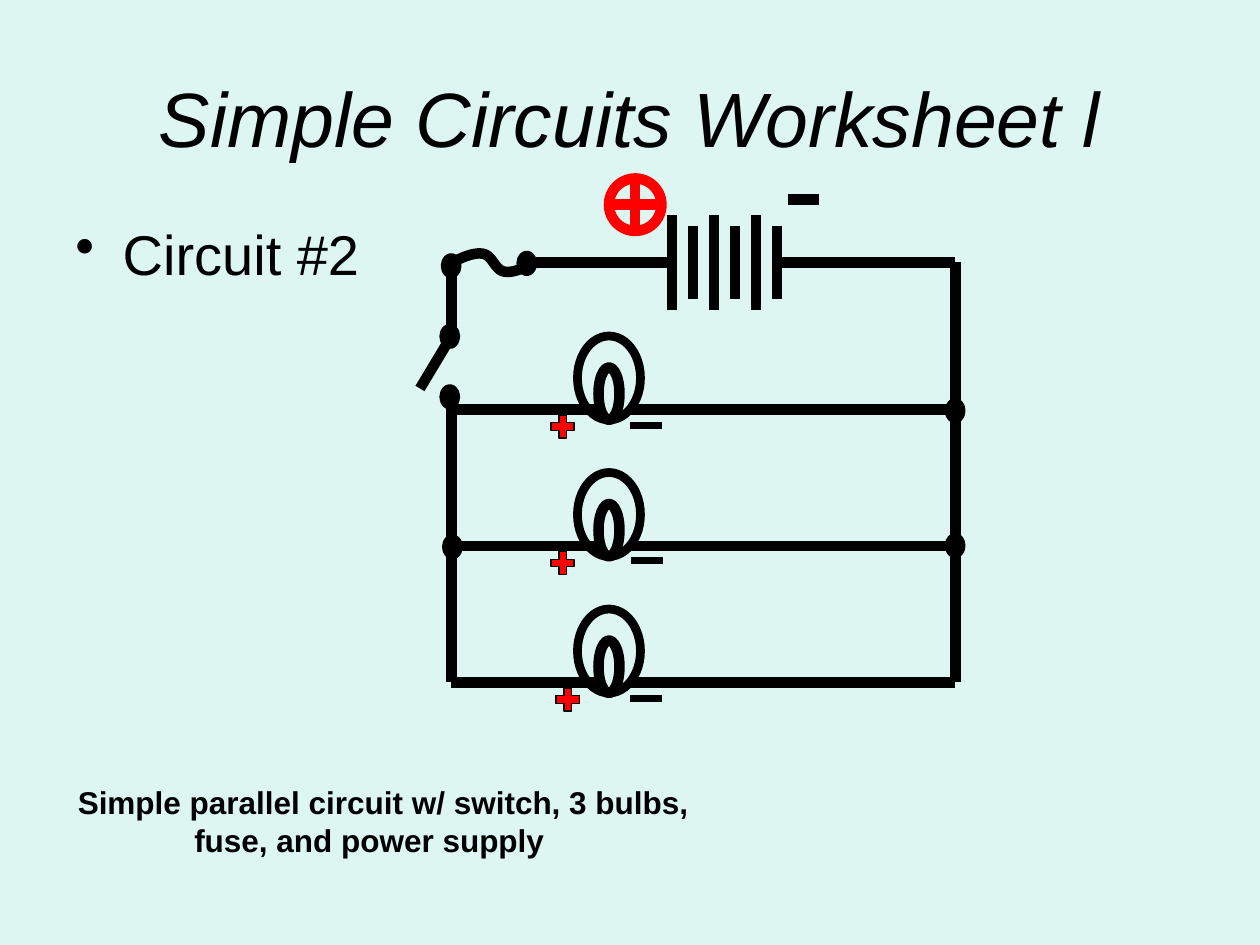
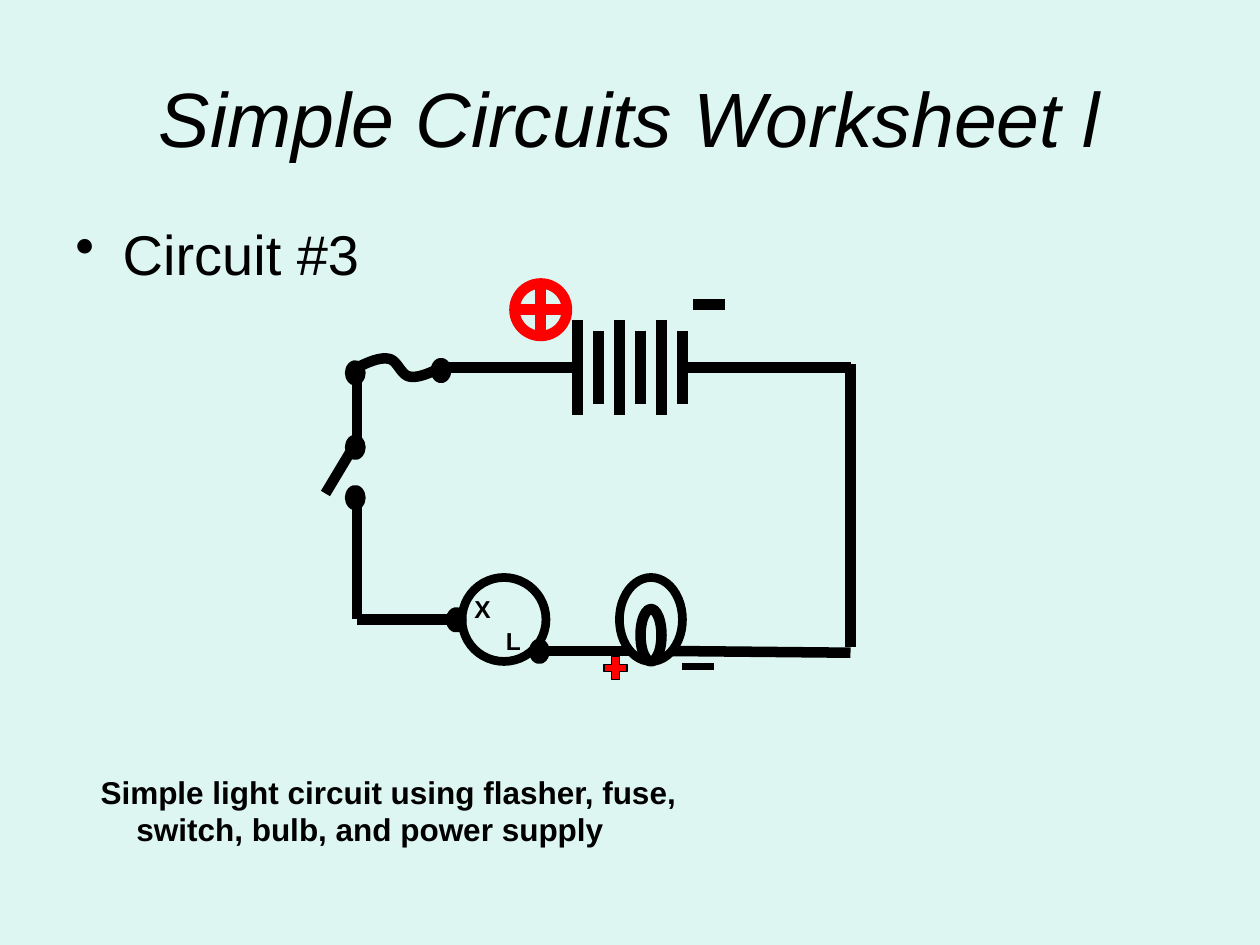
from dataclasses import dataclass

import pptx
import pptx.dml.color
import pptx.enum.shapes
import pptx.enum.text
import pptx.oxml.ns
import pptx.util
from lxml import etree

Pt = pptx.util.Pt
RGBColor = pptx.dml.color.RGBColor
MSO_SHAPE = pptx.enum.shapes.MSO_SHAPE
ALIGN = pptx.enum.text.PP_ALIGN

BACKGROUND = RGBColor(0xDE, 0xF6, 0xF1)
BLACK = RGBColor(0x00, 0x00, 0x00)
RED = RGBColor(0xFF, 0x00, 0x00)

FONT_NAME = "Arial"
TITLE = "Simple Circuits Worksheet l"
TITLE_FONT = {"size": Pt(44), "italic": True}
HEADING_FONT = {"size": Pt(32)}
CAPTION_FONT = {"size": Pt(18), "bold": True}
TERMINAL_FONT = {"size": Pt(14), "bold": True}

WIRE_WIDTH = 6
BULB_WIDTH = 5
MINUS_WIDTH = 4
PLATE_GAP = 12
PLATE_COUNT = 6
DOT_SIZE = (5.8, 8.6)
PLUS_SIZE = 18
MINUS_LENGTH = 18

# Cubic curves of the fuse, measured from its left end.
FUSE_CURVES = (
    ((0, 0), (6.5, -3), (13, -6), (18, -5)),
    ((18, -5), (23, -4.5), (25, 4.4), (30, 5.2)),
    ((30, 5.2), (35, 6.2), (42, 3), (48, 0)),
)
CURVE_STEPS = 10


@dataclass(frozen=True)
class Box:
    left: float
    top: float
    width: float
    height: float

    def lengths(self) -> list:
        return [Pt(value) for value in (self.left, self.top, self.width, self.height)]


@dataclass(frozen=True)
class Wire:
    start: tuple
    end: tuple
    width: float = WIRE_WIDTH


@dataclass(frozen=True)
class Bulb:
    center: float
    wire_y: float
    plus_left: float
    minus_left: float
    minus_drop: float = 9


@dataclass(frozen=True)
class Flasher:
    body: Box
    terminals: tuple


@dataclass(frozen=True)
class Circuit:
    """One worksheet slide; corner is the upper left corner of the circuit."""
    heading: str
    caption: str
    caption_box: Box
    corner: tuple
    wires: tuple
    bulbs: tuple
    dots: tuple
    flashers: tuple = ()


TITLE_BOX = Box(36, 21.6, 648, 90)
HEADING_BOX = Box(36, 126, 240, 42)

BRANCHES = (234, 312, 390)
CIRCUITS = (
    Circuit(
        heading="Circuit #2",
        caption="Simple parallel circuit w/ switch, 3 bulbs, fuse, and power supply \t",
        caption_box=Box(30, 444, 378, 50.4),
        corner=(258, 150),
        wires=(
            Wire((444, 150), (546, 150)),
            Wire((546, 150), (546, 390)),
            Wire((258, 228), (258, 390)),
            *(Wire((258, y), (342, y)) for y in BRANCHES),
            *(Wire((360, y), (546, y)) for y in BRANCHES),
        ),
        bulbs=(
            Bulb(348, BRANCHES[0], 312.5, 360),
            Bulb(348, BRANCHES[1], 312.5, 360.7, 8.4),
            Bulb(348, BRANCHES[2], 315.4, 360),
        ),
        dots=((257, 226.8), (257, 192.2), (257.8, 151.9), (301, 150.5),
              (258.5, 312.5), (545.8, 311.8), (545.8, 234.7)),
    ),
    Circuit(
        heading="Circuit #3",
        caption="Simple light circuit using flasher, fuse, switch, bulb, and power supply \t",
        caption_box=Box(42, 438, 360, 50.4),
        corner=(204, 210),
        wires=(
            Wire((390, 210), (486, 210)),
            Wire((486, 208), (486, 370)),
            Wire((204, 288), (204, 354)),
            Wire((204, 354), (264, 354)),
            Wire((306, 372), (360, 372)),
            Wire((384, 372), (486, 373)),
        ),
        bulbs=(Bulb(372, 372, 342.7, 390),),
        dots=((203, 284.4), (203, 213.1), (203, 255.6), (252, 211.7),
              (260.7, 354.2), (308.2, 372.2)),
        flashers=(
            Flasher(Box(264, 330, 48, 48),
                    (("X", Box(264, 336, 24, 24)), ("L", Box(282, 354, 24, 24)))),
        ),
    ),
)


def write_text(shape, text: str, font_values: dict, alignment=ALIGN.LEFT):
    frame = shape.text_frame
    frame.word_wrap = True
    frame.text = text
    paragraph = frame.paragraphs[0]
    paragraph.alignment = alignment
    paragraph.space_before = Pt(0)
    font = paragraph.runs[0].font
    for name, value in {"name": FONT_NAME, **font_values}.items():
        setattr(font, name, value)
    font.color.rgb = BLACK
    return paragraph


def add_text(slide, box: Box, text: str, font_values: dict, alignment=ALIGN.LEFT):
    return write_text(slide.shapes.add_textbox(*box.lengths()), text, font_values, alignment)


def add_title(slide) -> None:
    title = slide.shapes.title
    for name, value in zip(("left", "top", "width", "height"), TITLE_BOX.lengths()):
        setattr(title, name, value)
    write_text(title, TITLE, TITLE_FONT, ALIGN.CENTER)
    title.text_frame.vertical_anchor = pptx.enum.text.MSO_ANCHOR.MIDDLE
    title.text_frame.auto_size = pptx.enum.text.MSO_AUTO_SIZE.NONE


def add_heading(slide, text: str) -> None:
    paragraph = add_text(slide, HEADING_BOX, text, HEADING_FONT)
    paragraph.line_spacing = 0.9
    properties = paragraph._p.get_or_add_pPr()
    properties.set("marL", str(Pt(27)))
    properties.set("indent", str(Pt(-27)))
    bullet = etree.SubElement(properties, pptx.oxml.ns.qn("a:buChar"))
    bullet.set("char", "•")


def set_outline(shape, width: float, color: RGBColor = BLACK) -> None:
    shape.line.color.rgb = color
    shape.line.width = Pt(width)


def add_wire(slide, wire: Wire) -> None:
    ends = [Pt(value) for value in (*wire.start, *wire.end)]
    connector = slide.shapes.add_connector(pptx.enum.shapes.MSO_CONNECTOR.STRAIGHT, *ends)
    set_outline(connector, wire.width)
    etree.SubElement(connector._element.spPr, pptx.oxml.ns.qn("a:effectLst"))


def add_outline(slide, kind, box: Box, width: float, color: RGBColor = BLACK):
    """Add an unfilled preset shape."""
    shape = slide.shapes.add_shape(kind, *box.lengths())
    shape.shadow.inherit = False
    shape.fill.background()
    set_outline(shape, width, color)
    return shape


def add_minus(slide, left: float, y: float, width: float) -> None:
    add_wire(slide, Wire((left, y), (left + MINUS_LENGTH, y), width))


def add_battery(slide, left: float, axis: float) -> None:
    for index in range(PLATE_COUNT):
        x = left + index * PLATE_GAP
        reach = 21 if index % 2 else 27
        add_wire(slide, Wire((x, axis - reach), (x, axis + reach)))
    add_outline(slide, MSO_SHAPE.FLOWCHART_OR, Box(left - 36, axis - 48, 30, 30),
                WIRE_WIDTH, RED)
    add_minus(slide, left + 66, axis - 36, WIRE_WIDTH)


def curve_point(curve: tuple, t: float) -> tuple:
    weights = ((1 - t) ** 3, 3 * t * (1 - t) ** 2, 3 * t ** 2 * (1 - t), t ** 3)
    return tuple(sum(weight * point[axis] for weight, point in zip(weights, curve))
                 for axis in (0, 1))


def add_fuse(slide, left: float, y: float) -> None:
    points = [curve_point(curve, step / CURVE_STEPS)
              for curve in FUSE_CURVES for step in range(1, CURVE_STEPS + 1)]
    builder = slide.shapes.build_freeform(Pt(left), Pt(y))
    builder.add_line_segments([(Pt(left + dx), Pt(y + dy)) for dx, dy in points], close=False)
    fuse = builder.convert_to_shape()
    fuse.shadow.inherit = False
    fuse.fill.background()
    set_outline(fuse, WIRE_WIDTH)


def add_supply(slide, corner: tuple) -> None:
    """Draw the battery, fuse and open switch along the upper left corner."""
    left, top = corner
    add_battery(slide, left + 126, top)
    add_fuse(slide, left, top)
    add_wire(slide, Wire((left + 126, top), (left + 48, top)))
    add_wire(slide, Wire((left, top), (left, top + 42)))
    add_wire(slide, Wire((left, top + 42), (left - 18, top + 72)))


def add_bulb(slide, bulb: Bulb) -> None:
    x, y = bulb.center, bulb.wire_y
    add_outline(slide, MSO_SHAPE.OVAL, Box(x - 6, y - 24, 12, 30), WIRE_WIDTH)
    add_outline(slide, MSO_SHAPE.OVAL, Box(x - 18, y - 42, 36, 48), BULB_WIDTH)
    plus = add_outline(slide, MSO_SHAPE.MATH_PLUS,
                       Box(bulb.plus_left, y + 0.7, PLUS_SIZE, PLUS_SIZE), 0)
    plus.fill.solid()
    plus.fill.fore_color.rgb = RED
    add_minus(slide, bulb.minus_left, y + bulb.minus_drop, MINUS_WIDTH)


def add_dot(slide, center: tuple) -> None:
    width, height = DOT_SIZE
    box = Box(center[0] - width / 2, center[1] - height / 2, width, height)
    add_outline(slide, MSO_SHAPE.FLOWCHART_CONNECTOR, box, WIRE_WIDTH)


def add_flasher(slide, flasher: Flasher) -> None:
    add_outline(slide, MSO_SHAPE.OVAL, flasher.body, BULB_WIDTH)
    for label, box in flasher.terminals:
        add_text(slide, box, label, TERMINAL_FONT)


def add_circuit_slide(presentation, circuit: Circuit) -> None:
    slide = presentation.slides.add_slide(presentation.slide_layouts.get_by_name("Title Only"))
    add_title(slide)
    add_heading(slide, circuit.heading)
    add_supply(slide, circuit.corner)
    for draw, items in ((add_wire, circuit.wires), (add_flasher, circuit.flashers),
                        (add_bulb, circuit.bulbs), (add_dot, circuit.dots)):
        for item in items:
            draw(slide, item)
    add_text(slide, circuit.caption_box, circuit.caption, CAPTION_FONT, ALIGN.CENTER)


def main() -> None:
    presentation = pptx.Presentation()
    presentation.slide_width = Pt(720)
    presentation.slide_height = Pt(540)
    background = presentation.slide_master.background.fill
    background.solid()
    background.fore_color.rgb = BACKGROUND
    for circuit in CIRCUITS:
        add_circuit_slide(presentation, circuit)
    presentation.save("out.pptx")


if __name__ == "__main__":
    main()
